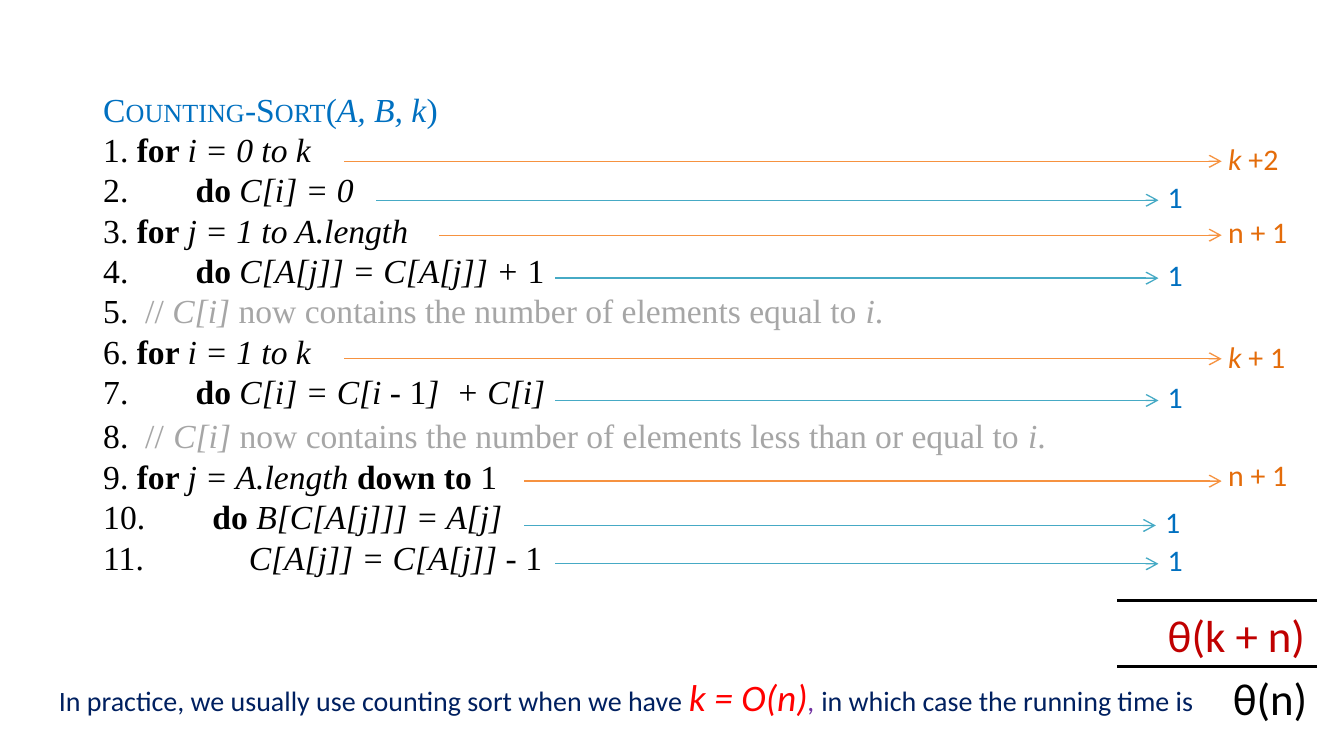
from dataclasses import dataclass
from lxml.etree import SubElement
from pptx import Presentation
from pptx.dml.color import RGBColor
from pptx.enum.shapes import MSO_CONNECTOR
from pptx.enum.text import MSO_AUTO_SIZE, PP_ALIGN
from pptx.oxml.ns import qn
from pptx.util import Inches, Pt


@dataclass(frozen=True)
class Theme:
    code_font: str = "Times New Roman"
    body_font: str = "Calibri"
    black: str = "000000"
    blue: str = "0070C0"
    grey: str = "A6A6A6"
    orange: str = "E46C0A"
    orange_line: str = "F69240"
    teal_line: str = "46AAC5"
    dark_red: str = "C00000"
    red: str = "FF0000"
    navy: str = "002060"
    purple: str = "7030A0"
    code_size: int = 18
    small_cap_size: int = 14
    wide_gap_size: int = 20
    cost_size: int = 16
    note_size: int = 15
    formula_size: int = 20
    total_size: int = 24
    thin: float = 0.75
    thick: float = 1.5
    tab_stop: float = 8.33


@dataclass(frozen=True)
class Run:
    text: str
    bold: bool = False
    italic: bool = False
    color: str = ""
    size: int = 0


def plain(text, **style):
    return Run(text, **style)


def bold(text):
    return Run(text, bold=True)


def italic(text, **style):
    return Run(text, italic=True, **style)


class SlideBuilder:
    CELL = 0.1

    def __init__(self, presentation, theme):
        self.theme = theme
        self.slide = presentation.slides.add_slide(presentation.slide_layouts[6])

    def cells(self, *counts):
        return [Inches(count * self.CELL) for count in counts]

    def tab_stop(self, paragraph):
        properties = paragraph._p.get_or_add_pPr()
        tabs = SubElement(properties, qn("a:tabLst"))
        position, = self.cells(self.theme.tab_stop)
        SubElement(tabs, qn("a:tab"), pos=str(int(position)), algn="l")
        properties.insert(0, tabs)

    def text(self, box, lines, font, size, color, align=PP_ALIGN.LEFT, wrap=True):
        shape = self.slide.shapes.add_textbox(*self.cells(*box))
        frame = shape.text_frame
        frame.word_wrap = wrap
        frame.auto_size = MSO_AUTO_SIZE.SHAPE_TO_FIT_TEXT
        for index, runs in enumerate(lines):
            paragraph = frame.add_paragraph() if index else frame.paragraphs[0]
            paragraph.alignment = align
            paragraph.font.name = font
            if not any(item.size for item in runs):
                paragraph.font.size = Pt(size)
            if any("\t" in item.text for item in runs):
                self.tab_stop(paragraph)
            for item in runs:
                run = paragraph.add_run()
                run.text = item.text
                run.font.name = font
                run.font.size = Pt(item.size or size)
                run.font.bold = item.bold
                run.font.italic = item.italic
                run.font.color.rgb = RGBColor.from_string(item.color or color)

    def line(self, start, end, row, color, width, arrow=False):
        connector = self.slide.shapes.add_connector(
            MSO_CONNECTOR.STRAIGHT, *self.cells(start, row, end, row))
        connector.line.color.rgb = RGBColor.from_string(color)
        connector.line.width = Pt(width)
        properties = connector._element.spPr
        if arrow:
            SubElement(properties.find(qn("a:ln")), qn("a:tailEnd"), type="arrow")
        SubElement(properties, qn("a:effectLst"))

    def cost(self, start, end, row, label_box, runs, line_color, text_color):
        theme = self.theme
        self.line(start, end, row, line_color, theme.thin, arrow=True)
        self.text((*label_box, 6.8, 3.7), [runs],
                  theme.body_font, theme.cost_size, text_color)


def comment(number, gap, condition, theme):
    return [plain(number), plain("//", color=theme.grey), gap,
            italic("C[i] ", color=theme.grey),
            plain(f"now contains the number of elements {condition} to ", color=theme.grey),
            italic("i", color=theme.grey), plain(".", color=theme.grey)]


def code_lines(theme):
    heading = [("C", 0), ("OUNTING", theme.small_cap_size), ("-S", 0),
               ("ORT", theme.small_cap_size), ("(", 0)]
    return [
        [plain(text, color=theme.blue, size=size) for text, size in heading]
        + [italic("A, B, k", color=theme.blue), plain(")", color=theme.blue)],
        [plain("1. "), bold("for "), italic("i = 0 to k")],
        [plain("2.        "), bold("do "), italic("C[i] = 0")],
        [plain("3."), bold(" for "), italic("j = 1 to A.length")],
        [plain("4.        "), bold("do "), italic("C[A[j]] = C[A[j]] + "), plain("1")],
        comment("5.  ", plain(" ", color=theme.grey), "equal", theme),
        [plain("6. "), bold("for "), italic("i = 1 to k")],
        [plain("7.        "), bold("do "), italic("C[i] = C[i - "), plain("1"),
         italic("]  + C[i]")],
        comment("8.  ", italic(" ", color=theme.grey, size=theme.wide_gap_size),
                "less than or equal", theme),
        [plain("9. "), bold("for "), italic("j = A.length "), bold("down to "), plain("1")],
        [plain("10.        "), bold("do "), italic("B[C[A[j]]] = A[j]")],
        [plain("11.\t    "), italic("C[A[j]] = C[A[j]] - "), plain("1")],
    ]


def main():
    theme = Theme()
    presentation = Presentation()
    presentation.slide_width = Inches(10)
    presentation.slide_height = presentation.slide_width * 9 // 16
    builder = SlideBuilder(presentation, theme)

    builder.text((6.7, 6.1, 84.3, 37.7), code_lines(theme),
                 theme.code_font, theme.code_size, theme.black)

    loop_costs = [
        (25.6, 12, 10, [italic("k"), plain(" +2")]),
        (32.7, 17.5, 15.4, [plain("n + 1")]),
        (25.6, 26.7, 24.7, [italic("k"), plain(" + 1")]),
        (39, 35.8, 33.5, [plain("n + 1")]),
    ]
    for start, row, label_row, runs in loop_costs:
        builder.cost(start, 90.9, row, (90.4, label_row), runs,
                     theme.orange_line, theme.orange)

    step_costs = [(28, 86.2, 14.9), (41.3, 86.2, 20.7), (41.3, 86.2, 29.8),
                  (39, 86, 39.1), (41.3, 86.2, 41.95)]
    for start, end, row in step_costs:
        builder.cost(start, end, row, (end - 0.3, row - 2.1), [plain("1")],
                     theme.teal_line, theme.blue)

    for row in (44.7, 49.6):
        builder.line(98, 83.1, row, theme.black, theme.thick)
    builder.text((83.1, 44.7, 15, 5), [[plain("θ(k + n)")]], theme.body_font,
                 theme.total_size, theme.dark_red, PP_ALIGN.RIGHT)
    builder.text((88.6, 49.4, 11.8, 5), [[plain("θ(n)")]], theme.body_font,
                 theme.total_size, theme.black, PP_ALIGN.CENTER)

    note = [plain("In practice, we usually use counting sort when we have "),
            italic("k = O(n)", color=theme.red, size=theme.formula_size),
            italic(", ", color=theme.purple),
            plain("in which case the running time is")]
    builder.text((3.4, 49.7, 87.3, 4.4), [note], theme.body_font,
                 theme.note_size, theme.navy, wrap=False)

    presentation.save("out.pptx")


if __name__ == "__main__":
    main()
